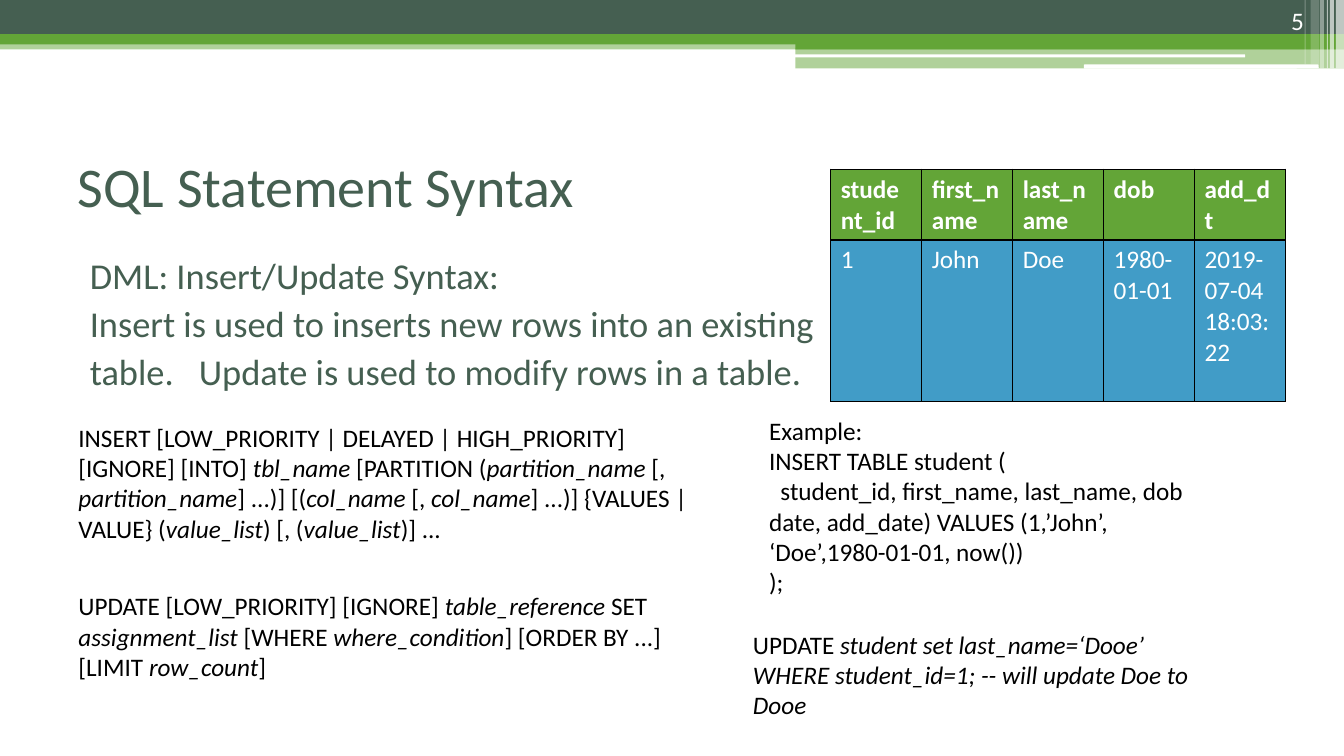
import pptx
import pptx.util
import pptx.dml.color
import pptx.enum.shapes
import pptx.enum.text
import pptx.oxml.ns
from lxml import etree

Inches, Pt = pptx.util.Inches, pptx.util.Pt
MSO = pptx.enum.shapes.MSO_SHAPE
ALIGN = pptx.enum.text.PP_ALIGN
ANCHOR = pptx.enum.text.MSO_ANCHOR
FIT = pptx.enum.text.MSO_AUTO_SIZE
qn = pptx.oxml.ns.qn

COLORS = {"dark": "455F51", "green": "63A537", "blue": "419CC7",
          "white": "FFFFFF", "black": "000000"}
FONT = "Calibri"


def rgb(name):
    """Return the named colour as an RGBColor."""
    return pptx.dml.color.RGBColor.from_string(COLORS[name])


def write(tf, lines, size=18, color="black", bold=False, align=None, before=None):
    """Fill a text frame, one paragraph a line; *asterisks* mark italics."""
    for i, line in enumerate(lines):
        p = tf.paragraphs[0] if i == 0 else tf.add_paragraph()
        p.alignment = align
        if before is not None:
            p.space_before = Pt(before)
        for j, part in enumerate(line.split("*")):
            if part:
                r = p.add_run()
                r.text = part
                r.font.name, r.font.size = FONT, Pt(size)
                r.font.bold, r.font.italic = bold, j % 2 == 1
                r.font.color.rgb = rgb(color)


class SlideBuilder:
    """Holds the current slide and draws elements on it."""

    def __init__(self, prs):
        """Add a slide with title and body placeholders."""
        self.s = prs.slides.add_slide(prs.slide_layouts[1])

    def place(self, sp, x, y, w, h):
        """Move and size a shape, in inches."""
        sp.left, sp.top, sp.width, sp.height = map(Inches, (x, y, w, h))

    def bar(self, x, y, w, h, color="white", alpha=100, kind=MSO.RECTANGLE):
        """Draw a borderless bar with an opacity in percent."""
        sp = self.s.shapes.add_shape(kind, *map(Inches, (x, y, w, h)))
        sp.shadow.inherit = False
        sp.line.fill.background()
        sp.fill.solid()
        sp.fill.fore_color.rgb = rgb(color)
        if alpha < 100:
            clr = sp._element.spPr.find(".//" + qn("a:srgbClr"))
            etree.SubElement(clr, qn("a:alpha"), val=str(alpha * 1000))

    def title(self, text, x, y, w, h):
        """Format the title placeholder."""
        sp = self.s.shapes.title
        self.place(sp, x, y, w, h)
        sp.text_frame.auto_size = FIT.NONE
        sp.text_frame.vertical_anchor = ANCHOR.MIDDLE
        write(sp.text_frame, [text], size=40, color="dark", align=ALIGN.LEFT)

    def body(self, lines, x, y, w, h):
        """Format the body placeholder as indented text without bullets."""
        sp = self.s.placeholders[1]
        self.place(sp, x, y, w, h)
        tf = sp.text_frame
        tf.auto_size = FIT.NONE
        write(tf, lines, size=26, color="dark", align=ALIGN.JUSTIFY, before=3)
        for p in tf.paragraphs:
            pPr = p._p.get_or_add_pPr()
            pPr.set("marL", str(Inches(0.12)))
            pPr.set("indent", "0")
            etree.SubElement(pPr, qn("a:buNone"))

    def text(self, lines, x, y, w, h, anchor=ANCHOR.TOP, **fmt):
        """Add a wrapping text box."""
        tf = self.s.shapes.add_textbox(*map(Inches, (x, y, w, h))).text_frame
        tf.word_wrap = True
        tf.vertical_anchor = anchor
        write(tf, lines, **fmt)

    def table(self, rows, heights, fills, x, y, w):
        """Add a bordered table whose first row is a bold header."""
        frame = self.s.shapes.add_table(
            len(rows), len(rows[0]), *map(Inches, (x, y, w, sum(heights))))
        tbl = frame.table
        tbl.horz_banding = False
        for i, row in enumerate(rows):
            tbl.rows[i].height = Inches(heights[i])
            for j, value in enumerate(row):
                cell = tbl.cell(i, j)
                write(cell.text_frame, [value], color="white", bold=i == 0)
                self.borders(cell)
                cell.fill.solid()
                cell.fill.fore_color.rgb = rgb(fills[i])

    def borders(self, cell):
        """Give a cell black 1 pt borders."""
        tcPr = cell._tc.get_or_add_tcPr()
        for side in ("lnL", "lnR", "lnT", "lnB"):
            ln = etree.SubElement(tcPr, qn("a:" + side), w=str(Pt(1)))
            fill = etree.SubElement(ln, qn("a:solidFill"))
            etree.SubElement(fill, qn("a:srgbClr"), val=COLORS["black"])


prs = pptx.Presentation()
prs.slide_width, prs.slide_height = Inches(13.33), Inches(7.5)
slide = SlideBuilder(prs)

# Header bands
slide.bar(0, 0.4, 13.33, 0.09, "green", 50)
slide.bar(0, 0, 13.33, 0.34, "dark")
slide.bar(0, 0.34, 13.33, 0.1, "green")
slide.bar(7.89, 0.39, 5.44, 0.1, "green")
slide.bar(7.89, 0.48, 5.44, 0.2, "green", 50)
slide.bar(7.88, 0.54, 4.47, 0.03, kind=MSO.ROUNDED_RECTANGLE)
slide.bar(10.75, 0.64, 2.33, 0.04, kind=MSO.ROUNDED_RECTANGLE)

# Translucent stripes at the right edge: left, width, height, opacity
for x, w, h, alpha in [(13.25, 0.08, 0.68, 65), (13.19, 0.04, 0.68, 65),
                       (13.16, 0.01, 0.68, 60), (13.09, 0.04, 0.68, 40),
                       (13, 0.08, 0.64, 20), (12.94, 0.01, 0.64, 30)]:
    slide.bar(x, 0, w, h, alpha=alpha)

slide.title("SQL Statement Syntax", 0.67, 1.25, 12, 1.17)
slide.body(["DML: Insert/Update Syntax:",
            "Insert is used to inserts new rows into an existing",
            "table.\t Update is used to modify rows in a table."],
           0.67, 2.46, 12, 4.73)
slide.text(["5"], 11.92, 0, 1.11, 0.4, anchor=ANCHOR.BOTTOM,
           color="white", align=ALIGN.RIGHT)

# Examples on the right
slide.text(["Example:", "INSERT TABLE student (",
            "\u00a0 student_id, first_name, last_name, dob date, add_date) "
            "VALUES (1,’John’, ‘Doe’,1980-01-01, now())", ");"],
           7.53, 4.07, 4.63, 1.92)
slide.text(["UPDATE *student set last_name=‘Dooe’ WHERE student_id=1; "
            "-- will update Doe to Dooe*"], 7.37, 6.19, 4.63, 1.01)

# Syntax on the left
slide.text(["UPDATE [LOW_PRIORITY] [IGNORE] *table_reference* SET "
            "*assignment_list* [WHERE *where_condition*] [ORDER BY ...] "
            "[LIMIT *row_count*]"], 0.68, 5.81, 6.44, 1.01)
slide.text(["INSERT [LOW_PRIORITY | DELAYED | HIGH_PRIORITY] [IGNORE] [INTO] "
            "*tbl_name* [PARTITION (*partition_name* [, *partition_name*] ...)] "
            "[(*col_name* [, *col_name*] ...)] {VALUES | VALUE} "
            "(*value_list*) [, (*value_list*)] ..."], 0.68, 4.14, 6.44, 1.31)

slide.table([["student_id", "first_name", "last_name", "dob", "add_dt"],
             ["1", "John", "Doe", "1980-01-01", "2019-07-04 18:03:22"]],
            [0.7, 1.6], ["green", "blue"], 8.24, 1.68, 4.51)

prs.save("out.pptx")
